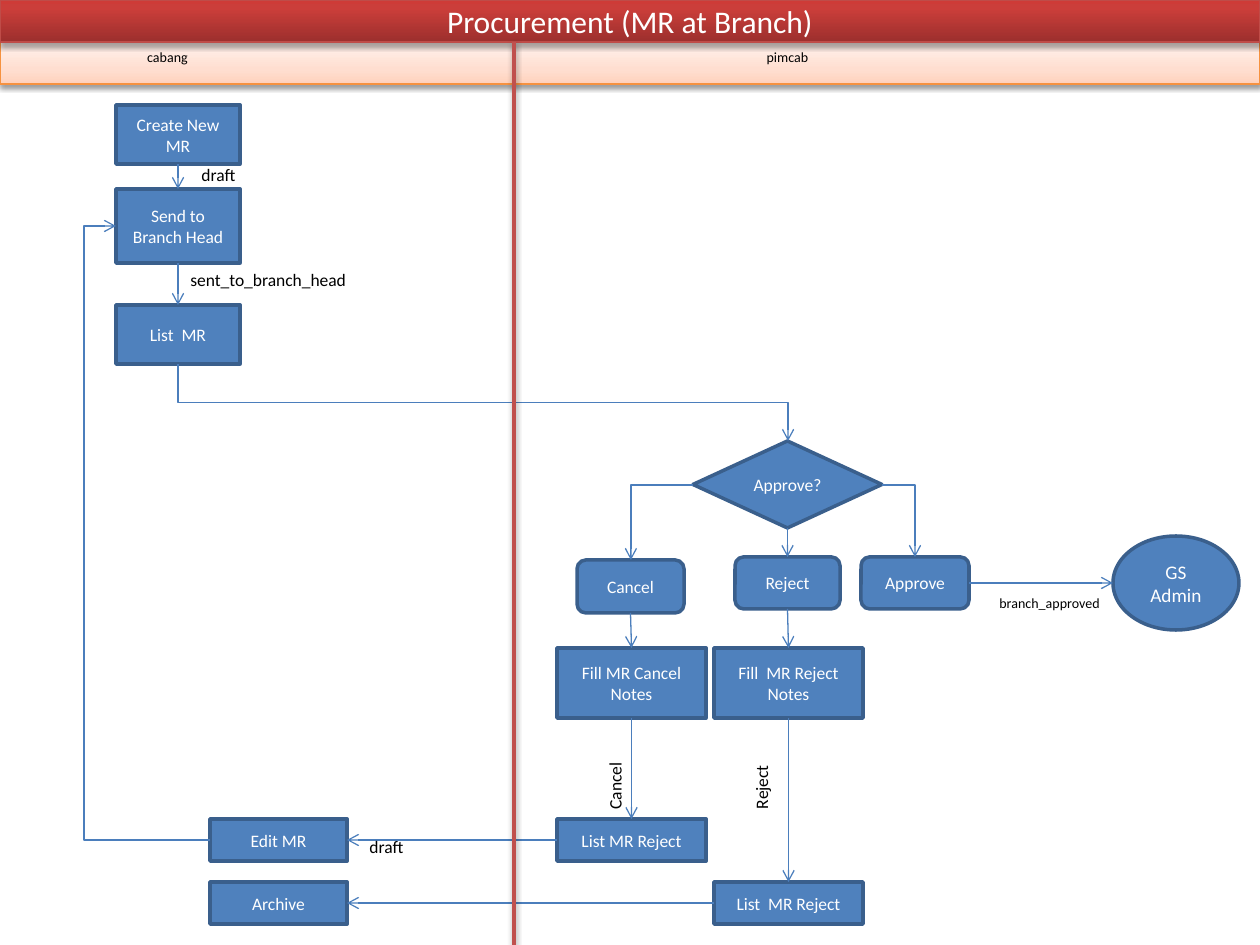
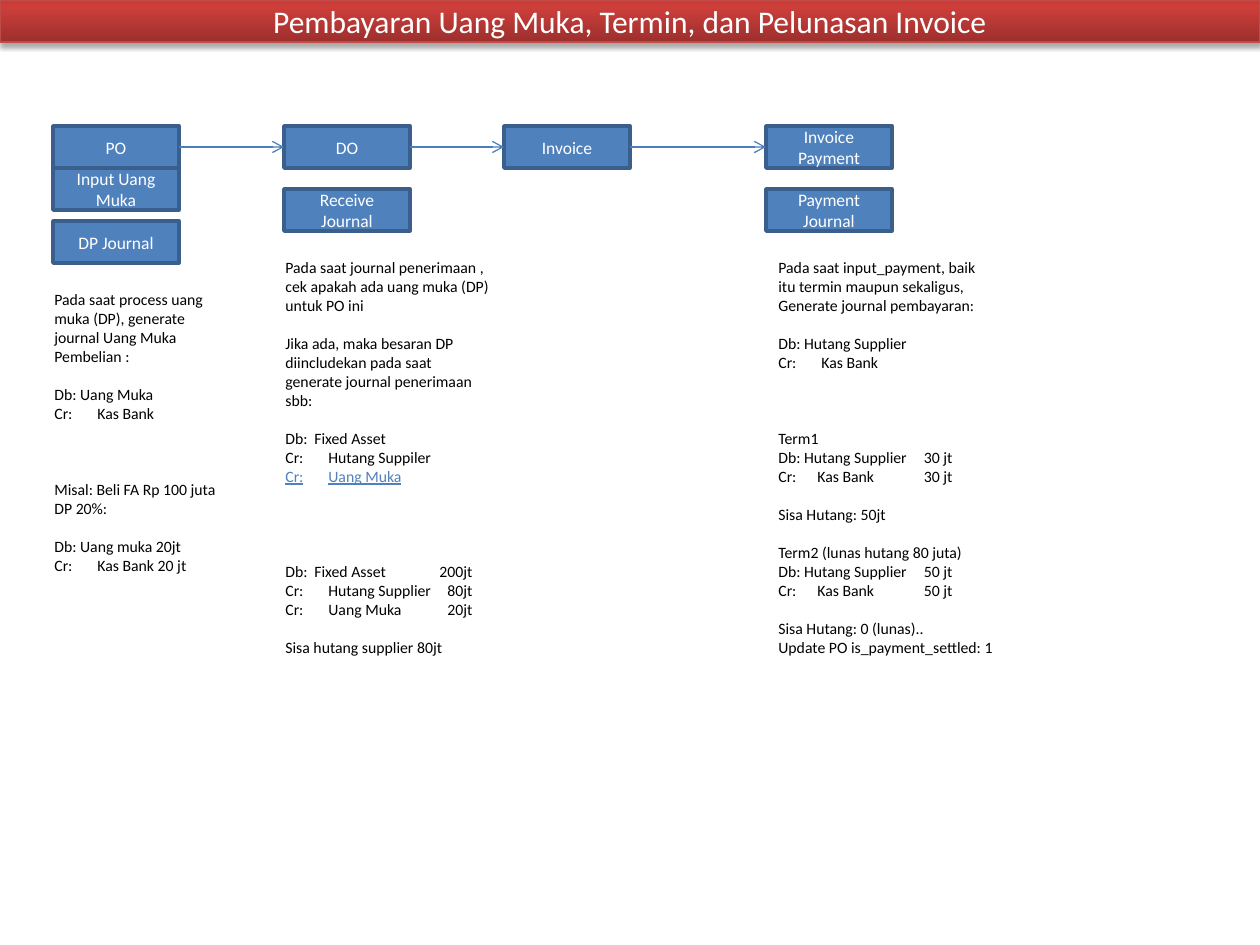
from dataclasses import dataclass

from lxml.etree import SubElement
from pptx import Presentation
from pptx.dml.color import RGBColor
from pptx.enum.shapes import MSO_CONNECTOR, MSO_SHAPE
from pptx.enum.text import MSO_ANCHOR, PP_ALIGN
from pptx.oxml.ns import qn
from pptx.util import Emu, Pt


@dataclass(frozen=True)
class Theme:
    font: str = "Calibri"
    node: str = "4F81BD"
    node_line: str = "3A5F8C"
    arrow: str = "4B7EBC"
    divider: str = "C0504D"
    title_line: str = "BF4C48"
    lane_line: str = "F69240"
    light: str = "FFFFFF"
    dark: str = "000000"
    title_stops: tuple = ((0, "9C2F2D"), (80, "CB3E3A"), (100, "CE3B37"))
    lane_stops: tuple = ((0, "FFD2BD"), (35, "FFDED0"), (100, "FFF2ED"))
    title_size: int = 18
    large_size: int = 11
    body_size: int = 10
    note_size: int = 9
    small_size: int = 8
    thick: float = 2
    thin: float = 0.75


THEME = Theme()
EMU_PER_PX = 914400 / 126
SLIDE_WIDTH, SLIDE_HEIGHT = 1260, 945
BAND_HEIGHT = 42
NOTE_LINE = 19
TOP, LEFT, BOTTOM, RIGHT = range(4)
PROCESS = MSO_SHAPE.FLOWCHART_PROCESS
CHOICE = MSO_SHAPE.FLOWCHART_ALTERNATE_PROCESS
DECISION = MSO_SHAPE.FLOWCHART_DECISION

BRANCH_TITLE = "Procurement (MR at Branch)"
DIVIDER_X = 514
# name: (preset, text, (left, top, width, height))
BRANCH_NODES = {
    "create": (PROCESS, "Create New MR", (116, 105, 124, 59)),
    "send": (PROCESS, "Send to Branch Head", (116, 189, 124, 74)),
    "list": (PROCESS, "List  MR", (116, 305, 124, 59)),
    "decision": (DECISION, "Approve?", (693, 441, 189, 87)),
    "approve": (CHOICE, "Approve", (861, 557, 108, 52)),
    "reject": (CHOICE, "Reject", (735, 557, 105, 52)),
    "cancel": (CHOICE, "Cancel", (577, 560, 107, 53)),
    "cancel notes": (PROCESS, "Fill MR Cancel Notes", (557, 648, 149, 70)),
    "reject notes": (PROCESS, "Fill  MR Reject Notes", (714, 648, 149, 70)),
    "cancel list": (PROCESS, "List MR Reject", (557, 819, 149, 42)),
    "reject list": (PROCESS, "List  MR Reject", (714, 882, 149, 42)),
    "edit": (PROCESS, "Edit MR", (210, 819, 137, 42)),
    "archive": (PROCESS, "Archive", (210, 882, 137, 42)),
}
ADMIN_TEXT, ADMIN_BOX = "GS\nAdmin", (1113, 536, 126, 94)
BRANCH_LINKS = [
    ("create", BOTTOM, "send", TOP),
    ("send", BOTTOM, "list", TOP),
    ("decision", BOTTOM, "reject", TOP),
    ("cancel", BOTTOM, "cancel notes", TOP),
    ("reject", BOTTOM, "reject notes", TOP),
    ("cancel notes", BOTTOM, "cancel list", TOP),
    ("reject notes", BOTTOM, "reject list", TOP),
    ("cancel list", LEFT, "edit", RIGHT),
    ("reject list", LEFT, "archive", RIGHT),
]
# text, box, size, alignment, rotation
BRANCH_LABELS = [
    ("cabang", (94, 42, 147, 30), THEME.small_size, PP_ALIGN.CENTER, 0),
    ("pimcab", (735, 42, 105, 30), THEME.small_size, PP_ALIGN.CENTER, 0),
    ("draft", (189, 158, 72, 34), THEME.body_size, PP_ALIGN.LEFT, 0),
    ("sent_to_branch_head", (178, 263, 231, 34), THEME.body_size, PP_ALIGN.LEFT, 0),
    ("branch_approved", (987, 588, 140, 30), THEME.small_size, PP_ALIGN.LEFT, 0),
    ("Reject", (703, 746, 117, 34), THEME.body_size, PP_ALIGN.LEFT, 270),
    ("Cancel", (549, 739, 132, 34), THEME.body_size, PP_ALIGN.LEFT, 270),
    ("draft", (357, 830, 72, 34), THEME.body_size, PP_ALIGN.LEFT, 0),
]

PAYMENT_TITLE = "Pembayaran Uang Muka, Termin, dan Pelunasan Invoice"
STEP_SIZE = (126, 42)
STEPS = {
    "PO": (53, 126),
    "Input Uang Muka": (53, 168),
    "DP Journal": (53, 221),
    "DO": (284, 126),
    "Receive Journal": (284, 189),
    "Invoice": (504, 126),
    "Invoice Payment": (766, 126),
    "Payment Journal": (766, 189),
}
STEP_CHAIN = ["PO", "DO", "Invoice", "Invoice Payment"]

# Tab stops as (px, alignment)
CREDIT = ((43, "l"),)
DEBIT_AMOUNT = ((29, "l"), (187, "r"))
CREDIT_AMOUNT = ((43, "l"), (187, "r"))
TERM = ((39, "l"), (174, "r"))
# (box, [(blank lines above, text, tab stops)])
NOTES = [
    ((42, 284, 189, 299), [
        (0, "Pada saat process uang muka (DP), generate journal Uang Muka Pembelian :", ()),
        (1, "Db: Uang Muka", ()),
        (0, "Cr:\tKas Bank", CREDIT),
        (3, "Misal: Beli FA Rp 100 juta DP 20%:", ()),
        (1, "Db: Uang muka 20jt", ()),
        (0, "Cr:\tKas Bank 20 jt", CREDIT),
    ]),
    ((273, 252, 231, 413), [
        (0, "Pada saat journal penerimaan , cek apakah ada uang muka (DP) untuk PO ini", ()),
        (1, "Jika ada, maka besaran DP diincludekan pada saat generate journal "
            "penerimaan sbb:", ()),
        (1, "Db:\tFixed Asset", DEBIT_AMOUNT),
        (0, "Cr:\tHutang Suppiler", CREDIT),
        (0, "Cr:\tUang Muka", CREDIT),
        (4, "Db:\tFixed Asset\t200jt", DEBIT_AMOUNT),
        (0, "Cr:\tHutang Supplier\t80jt", CREDIT_AMOUNT),
        (0, "Cr:\tUang Muka\t20jt", CREDIT_AMOUNT),
        (1, "Sisa hutang supplier 80jt", ()),
    ]),
    ((766, 252, 242, 413), [
        (0, "Pada saat input_payment, baik itu termin maupun sekaligus,", ()),
        (0, "Generate journal pembayaran:", ()),
        (1, "Db: Hutang Supplier", ()),
        (0, "Cr:\tKas Bank", CREDIT),
        (3, "Term1", ()),
        (0, "Db: Hutang Supplier\t30 jt", TERM),
        (0, "Cr:\tKas Bank\t30 jt", TERM),
        (1, "Sisa Hutang: 50jt", ()),
        (1, "Term2 (lunas hutang 80 juta)", ()),
        (0, "Db: Hutang Supplier\t50 jt", TERM),
        (0, "Cr:\tKas Bank\t50 jt", TERM),
        (1, "Sisa Hutang: 0 (lunas)..", ()),
        (0, "Update PO is_payment_settled: 1", ()),
    ]),
]
HIGHLIGHTED = "Cr:\tUang Muka"


def px(value):
    return Emu(round(value * EMU_PER_PX))


def lengths(values):
    return [px(value) for value in values]


def rgb(color):
    return RGBColor.from_string(color)


def style_font(font, size, color, **extra):
    for name, value in {"name": THEME.font, "size": Pt(size), **extra}.items():
        setattr(font, name, value)
    font.color.rgb = rgb(color)


def style_line(line, color, width):
    line.color.rgb = rgb(color)
    line.width = Pt(width)


def write(text_frame, text, size, color, alignment):
    text_frame.word_wrap = True
    text_frame.text = text
    for paragraph in text_frame.paragraphs:
        paragraph.alignment = alignment
        for run in paragraph.runs:
            style_font(run.font, size, color)


def add_shadow(effects, opacity, distance):
    shadow = SubElement(effects, qn("a:outerShdw"), blurRad="40000", dist=str(distance),
                        dir="5400000", rotWithShape="0")
    color = SubElement(shadow, qn("a:srgbClr"), val=THEME.dark)
    SubElement(color, qn("a:alpha"), val=str(opacity * 1000))


def add_node(slide, preset, text, box, size=THEME.body_size):
    shape = slide.shapes.add_shape(preset, *lengths(box))
    shape.shadow.inherit = False
    shape.fill.solid()
    shape.fill.fore_color.rgb = rgb(THEME.node)
    style_line(shape.line, THEME.node_line, THEME.thick)
    shape.text_frame.vertical_anchor = MSO_ANCHOR.MIDDLE
    write(shape.text_frame, text, size, THEME.light, PP_ALIGN.CENTER)
    return shape


def add_band(slide, top, stops, line_color, opacity, distance):
    """Add a full-width gradient band with a soft shadow below it."""
    band = slide.shapes.add_shape(
        MSO_SHAPE.RECTANGLE, *lengths((0, top, SLIDE_WIDTH, BAND_HEIGHT)))
    band.fill.gradient()
    band.fill.gradient_angle = 90
    properties = band._element.spPr
    stop_list = properties.find(".//" + qn("a:gsLst"))
    for stop in list(stop_list):
        stop_list.remove(stop)
    for position, color in stops:
        stop = SubElement(stop_list, qn("a:gs"), pos=str(position * 1000))
        SubElement(stop, qn("a:srgbClr"), val=color)
    style_line(band.line, line_color, THEME.thin)
    band.shadow.inherit = False
    add_shadow(properties.find(qn("a:effectLst")), opacity, distance)
    return band


def add_title(slide, text):
    band = add_band(slide, 0, THEME.title_stops, THEME.title_line, 35, 23000)
    band.text_frame.vertical_anchor = MSO_ANCHOR.MIDDLE
    write(band.text_frame, text, THEME.title_size, THEME.light, PP_ALIGN.CENTER)


def add_line(slide, start, end, color=THEME.arrow, width=THEME.thin,
             kind=MSO_CONNECTOR.STRAIGHT, arrow=True):
    connector = slide.shapes.add_connector(kind, *lengths((*start, *end)))
    style_line(connector.line, color, width)
    properties = connector._element.spPr
    if arrow:
        SubElement(properties.find(qn("a:ln")), qn("a:tailEnd"), type="arrow")
    SubElement(properties, qn("a:effectLst"))
    return connector


def join(slide, source, source_side, target, target_side):
    connector = add_line(slide, (0, 0), (0, 0))
    connector.begin_connect(source, source_side)
    connector.end_connect(target, target_side)


def add_corner(slide, start, end):
    """Run sideways first, then turn once towards the end."""
    connector = add_line(slide, start, end, kind=MSO_CONNECTOR.ELBOW)
    connector._element.spPr.find(qn("a:prstGeom")).set("prst", "bentConnector2")


def add_detour(slide, start, end, via_x):
    """Run sideways to via_x, along it, and back to the end."""
    connector = add_line(slide, start, end, kind=MSO_CONNECTOR.ELBOW)
    adjust = round((via_x - start[0]) / (end[0] - start[0]) * 100000)
    guides = connector._element.spPr.find(".//" + qn("a:avLst"))
    SubElement(guides, qn("a:gd"), name="adj1", fmla=f"val {adjust}")


def add_drop(slide, start, end):
    """Run down, across at half height, and down: an elbow turned by 270 degrees."""
    (x1, y1), (x2, y2) = start, end
    center_x, center_y = (x1 + x2) / 2, (y1 + y2) / 2
    half_width, half_height = (y2 - y1) / 2, (x2 - x1) / 2
    connector = add_line(slide, (center_x + half_width, center_y - half_height),
                         (center_x - half_width, center_y + half_height),
                         kind=MSO_CONNECTOR.ELBOW)
    connector._element.spPr.find(qn("a:xfrm")).set("rot", str(270 * 60000))


def add_label(slide, text, box, size, alignment, rotation):
    label = slide.shapes.add_textbox(*lengths(box))
    label.rotation = rotation
    write(label.text_frame, text, size, THEME.dark, alignment)


def add_note(slide, box, rows):
    text_frame = slide.shapes.add_textbox(*lengths(box)).text_frame
    text_frame.word_wrap = True
    for index, (blank_lines, text, stops) in enumerate(rows):
        paragraph = text_frame.add_paragraph() if index else text_frame.paragraphs[0]
        if blank_lines:
            paragraph.space_before = px(blank_lines * NOTE_LINE)
        if stops:
            tabs = SubElement(paragraph._p.get_or_add_pPr(), qn("a:tabLst"))
            for position, alignment in stops:
                SubElement(tabs, qn("a:tab"), pos=str(px(position)), algn=alignment)
        run = paragraph.add_run()
        run.text = text
        marked = text == HIGHLIGHTED
        style_font(run.font, THEME.note_size, THEME.node if marked else THEME.dark,
                   underline=marked)


def build_branch_slide(slide):
    add_band(slide, BAND_HEIGHT, THEME.lane_stops, THEME.lane_line, 38, 20000)
    add_title(slide, BRANCH_TITLE)
    nodes = {name: add_node(slide, *node) for name, node in BRANCH_NODES.items()}
    add_node(slide, MSO_SHAPE.OVAL, ADMIN_TEXT, ADMIN_BOX, THEME.large_size)
    for source, source_side, target, target_side in BRANCH_LINKS:
        join(slide, nodes[source], source_side, nodes[target], target_side)
    add_line(slide, (969, 583), (1113, 583)).begin_connect(nodes["approve"], RIGHT)
    add_drop(slide, (178, 364), (788, 441))
    add_corner(slide, (693, 485), (631, 560))
    add_corner(slide, (882, 485), (915, 557))
    add_detour(slide, (210, 840), (116, 226), via_x=84)
    for label in BRANCH_LABELS:
        add_label(slide, *label)
    divider = add_line(slide, (DIVIDER_X, BAND_HEIGHT), (DIVIDER_X, SLIDE_HEIGHT),
                       THEME.divider, THEME.thick, arrow=False)
    add_shadow(divider._element.spPr.find(qn("a:effectLst")), 38, 20000)


def build_payment_slide(slide):
    add_title(slide, PAYMENT_TITLE)
    steps = {text: add_node(slide, MSO_SHAPE.RECTANGLE, text, (*corner, *STEP_SIZE))
             for text, corner in STEPS.items()}
    for source, target in zip(STEP_CHAIN, STEP_CHAIN[1:]):
        join(slide, steps[source], RIGHT, steps[target], LEFT)
    for box, rows in NOTES:
        add_note(slide, box, rows)


def main():
    presentation = Presentation()
    presentation.slide_width, presentation.slide_height = lengths((SLIDE_WIDTH, SLIDE_HEIGHT))
    for build in (build_branch_slide, build_payment_slide):
        build(presentation.slides.add_slide(presentation.slide_layouts[6]))
    presentation.save("out.pptx")


if __name__ == "__main__":
    main()
